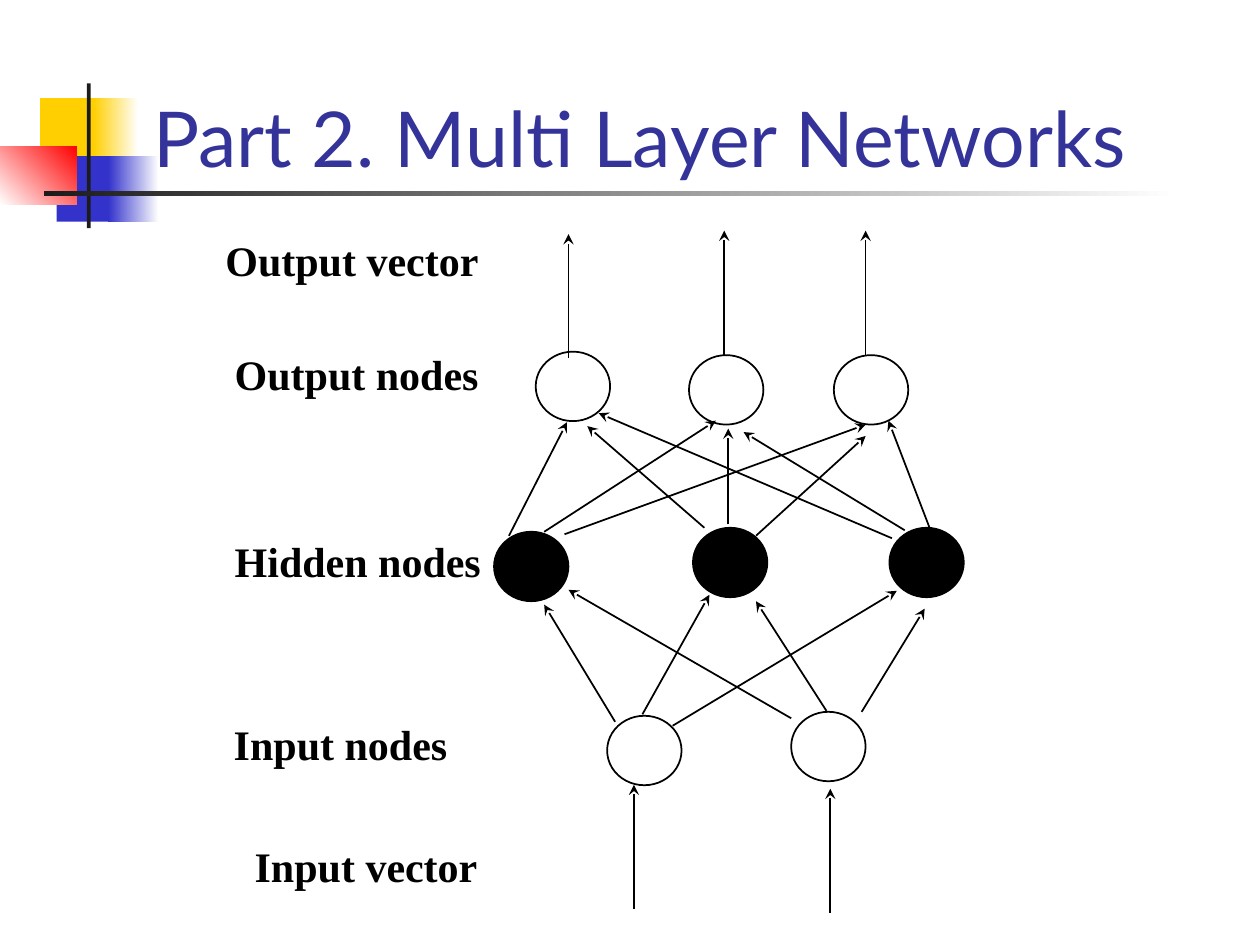
from dataclasses import dataclass
from typing import Optional

from lxml import etree
from pptx import Presentation
from pptx.dml.color import RGBColor
from pptx.enum import shapes as kinds, text as texts
from pptx.oxml.ns import qn
from pptx.util import Cm, Pt


@dataclass(frozen=True)
class Theme:
    white: str = "FFFFFF"
    black: str = "000000"
    dark: str = "1C1C1C"
    gold: str = "FFCF01"
    blue: str = "3333CC"
    red: str = "FF0000"
    navy: str = "333399"
    head: str = "Lato"
    body: str = "Times New Roman"
    large: int = 44
    small: int = 24
    line: int = 1


@dataclass(frozen=True)
class Bar:
    x: float
    y: float
    w: float
    h: float
    color: str
    end: Optional[str] = None
    angle: int = 180


@dataclass(frozen=True)
class Node:
    x: float
    y: float
    solid: bool = False


@dataclass(frozen=True)
class Arrow:
    x1: float
    y1: float
    x2: float
    y2: float


@dataclass(frozen=True)
class Label:
    words: str
    x: float
    y: float
    w: float


T = Theme()
NODE_W, NODE_H = 1.5, 1.4
LABEL_H = 1.27
RISE = 2.5

BARS = [
    Bar(0.81, 1.98, 1.22, 1.32, T.gold),
    Bar(1.88, 1.98, 0.91, 1.32, T.white, T.gold),
    Bar(1.14, 3.15, 1.17, 1.32, T.blue),
    Bar(2.18, 3.15, 1.02, 1.32, T.white, T.blue),
    Bar(0, 2.95, 1.55, 1.17, T.red, T.white, 225),
    Bar(1.75, 1.68, 0.08, 2.92, T.dark),
    Bar(0.89, 3.86, 22.86, 0.1, T.white, T.dark),
]
NODES = [
    Node(10.8, 7.09), Node(13.89, 7.16), Node(16.81, 7.16),
    Node(9.96, 10.72, True), Node(13.97, 10.64, True), Node(17.93, 10.64, True),
    Node(12.24, 14.43), Node(15.95, 14.35),
]
# Input to hidden, then hidden to output
LINKS = [
    Arrow(12.4, 14.55, 10.97, 12.19),
    Arrow(12.95, 14.4, 14.3, 11.99),
    Arrow(13.56, 14.63, 18.08, 11.91),
    Arrow(15.95, 14.48, 11.46, 11.89),
    Arrow(16.66, 14.33, 15.24, 12.12),
    Arrow(17.37, 14.35, 18.64, 12.27),
    Arrow(10.26, 10.8, 11.43, 8.51),
    Arrow(10.97, 10.72, 14.43, 8.48),
    Arrow(11.38, 10.77, 17.45, 8.56),
    Arrow(17.98, 10.85, 12.07, 8.33),
    Arrow(18.77, 10.72, 17.91, 8.48),
    Arrow(18.24, 10.69, 14.99, 8.71),
    Arrow(14.2, 10.64, 11.84, 8.59),
    Arrow(14.68, 10.57, 14.68, 8.64),
    Arrow(15.24, 10.8, 17.45, 8.79),
]
# Tips of the upright input and output arrows
TIPS = [(12.78, 15.82), (16.74, 15.9), (11.46, 4.72), (14.6, 4.65), (17.45, 4.65)]
FLOWS = [Arrow(x, y + RISE, x, y) for x, y in TIPS]
LABELS = [
    Label("Output vector", 4.29, 4.6, 5.61),
    Label("Output nodes", 4.47, 6.91, 5.44),
    Label("Hidden nodes", 4.47, 10.67, 5.49),
    Label("Input nodes", 4.45, 14.35, 4.83),
    Label("Input vector", 4.88, 16.81, 5),
]


def rgb(code: str) -> RGBColor:
    return RGBColor.from_string(code)


def paint(fill, color: str) -> None:
    fill.solid()
    fill.fore_color.rgb = rgb(color)


def add_bar(slide, bar: Bar) -> None:
    shape = slide.shapes.add_shape(
        kinds.MSO_SHAPE.RECTANGLE, Cm(bar.x), Cm(bar.y), Cm(bar.w), Cm(bar.h))
    shape.shadow.inherit = False
    shape.line.fill.background()
    if bar.end is None:
        paint(shape.fill, bar.color)
        return
    shape.fill.gradient()
    shape.fill.gradient_angle = bar.angle
    for stop, color in zip(shape.fill.gradient_stops, (bar.color, bar.end)):
        stop.color.rgb = rgb(color)


def add_node(slide, node: Node) -> None:
    shape = slide.shapes.add_shape(
        kinds.MSO_SHAPE.OVAL, Cm(node.x), Cm(node.y), Cm(NODE_W), Cm(NODE_H))
    shape.shadow.inherit = False
    if node.solid:
        paint(shape.fill, T.black)
    else:
        shape.fill.background()
    paint(shape.line.fill, T.black)
    shape.line.width = Pt(T.line)


def add_arrow(slide, arrow: Arrow) -> None:
    link = slide.shapes.add_connector(
        kinds.MSO_CONNECTOR.STRAIGHT,
        Cm(arrow.x1), Cm(arrow.y1), Cm(arrow.x2), Cm(arrow.y2))
    paint(link.line.fill, T.black)
    link.line.width = Pt(T.line)
    etree.SubElement(link.line._get_or_add_ln(), qn("a:tailEnd"), type="stealth")
    etree.SubElement(link._element.spPr, qn("a:effectLst"))


def add_text(slide, label: Label, height: float, frame: dict, font: dict,
             color: str, align=None) -> None:
    box = slide.shapes.add_textbox(
        Cm(label.x), Cm(label.y), Cm(label.w), Cm(height)).text_frame
    for name, value in frame.items():
        setattr(box, name, value)
    para = box.paragraphs[0]
    para.alignment = align
    run = para.add_run()
    run.text = label.words
    for name, value in font.items():
        setattr(run.font, name, value)
    run.font.color.rgb = rgb(color)


def main() -> None:
    deck = Presentation()
    deck.slide_width, deck.slide_height = Cm(25.4), Cm(19.05)
    slide = deck.slides.add_slide(deck.slide_layouts[6])

    for bar in BARS:
        add_bar(slide, bar)
    add_text(slide, Label("Part 2. Multi Layer Networks", 2.84, 0.64, 21.64), 3.18,
             {"word_wrap": True, "vertical_anchor": texts.MSO_ANCHOR.BOTTOM},
             {"name": T.head, "size": Pt(T.large)}, T.navy)
    for node in NODES:
        add_node(slide, node)
    for arrow in LINKS + FLOWS:
        add_arrow(slide, arrow)
    for label in LABELS:
        add_text(slide, label, LABEL_H,
                 {"word_wrap": False, "auto_size": texts.MSO_AUTO_SIZE.SHAPE_TO_FIT_TEXT},
                 {"name": T.body, "size": Pt(T.small), "bold": True},
                 T.black, texts.PP_ALIGN.CENTER)
    deck.save("out.pptx")


if __name__ == "__main__":
    main()
